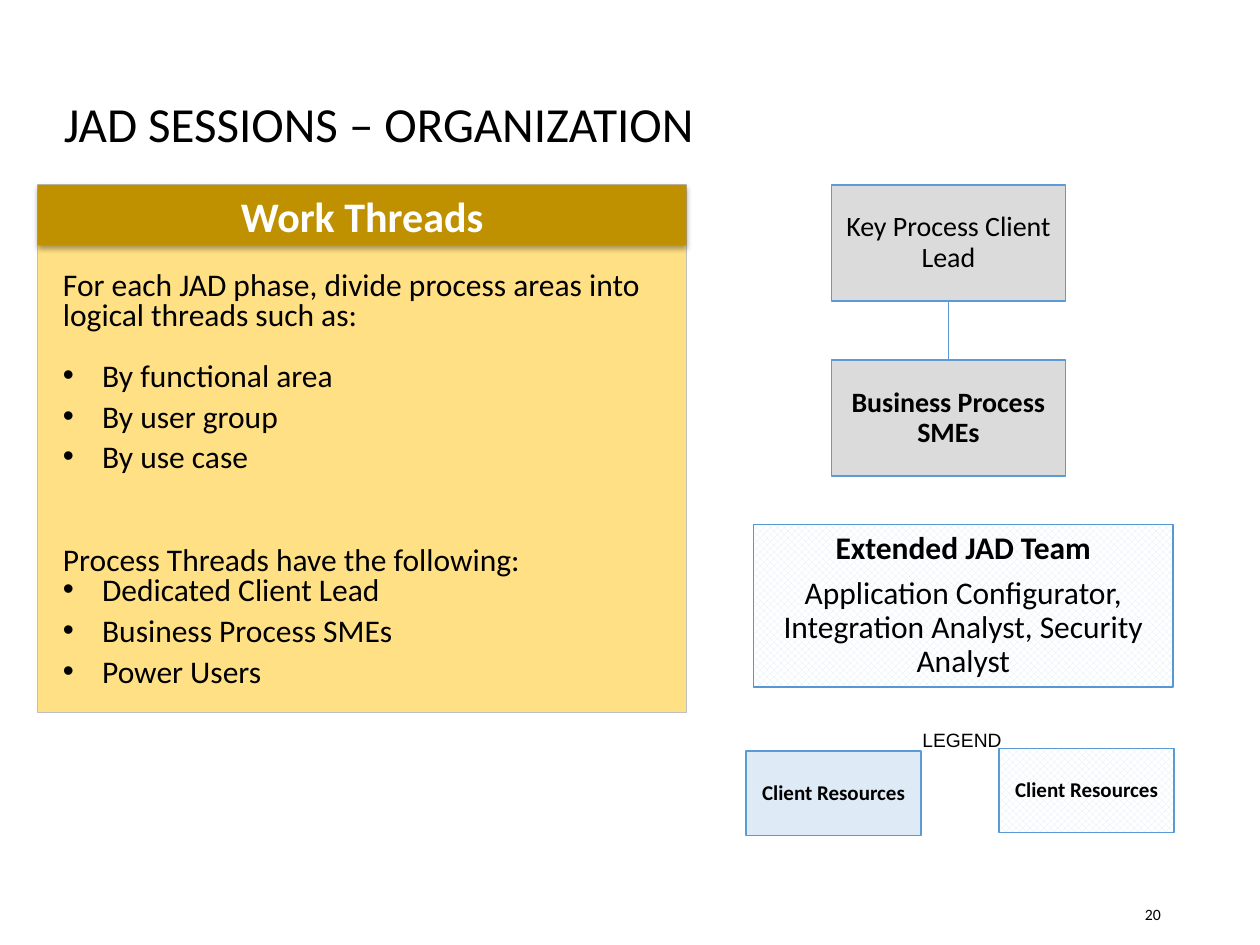
import lxml.etree
import pptx
import pptx.dml.color
import pptx.enum.dml
import pptx.enum.shapes
import pptx.enum.text
import pptx.oxml
import pptx.oxml.ns
import pptx.util

Cm = pptx.util.Cm
Pt = pptx.util.Pt
RGBColor = pptx.dml.color.RGBColor
ALIGN = pptx.enum.text.PP_ALIGN
ANCHOR = pptx.enum.text.MSO_ANCHOR
RECTANGLE = pptx.enum.shapes.MSO_SHAPE.RECTANGLE
qn = pptx.oxml.ns.qn

BLACK = RGBColor(0x00, 0x00, 0x00)
WHITE = RGBColor(0xFF, 0xFF, 0xFF)
GRAY = RGBColor(0xDB, 0xDB, 0xDB)
BORDER_GRAY = RGBColor(0xBF, 0xBF, 0xBF)
BLUE = RGBColor(0x5B, 0x9B, 0xD5)
TEAM_BLUE = RGBColor(0x56, 0x98, 0xD3)
PALE_BLUE = RGBColor(0xDE, 0xEB, 0xF7)
YELLOW = RGBColor(0xFF, 0xD9, 0x66)
GOLD = RGBColor(0xBF, 0x90, 0x00)


def add_box(position, fill, border, insets, anchor=ANCHOR.MIDDLE):
    bounds = [Cm(value) for value in position]
    if fill is None:
        shape = slide.shapes.add_textbox(*bounds)
    else:
        shape = slide.shapes.add_shape(RECTANGLE, *bounds)
        shape.shadow.inherit = False
        if fill == "pattern":
            shape.fill.patterned()
            shape.fill.pattern = pptx.enum.dml.MSO_PATTERN.OUTLINED_DIAMOND
            shape.fill.fore_color.rgb = PALE_BLUE
            shape.fill.back_color.rgb = WHITE
        else:
            shape.fill.solid()
            shape.fill.fore_color.rgb = fill
        if border is None:
            shape.line.fill.background()
        else:
            shape.line.color.rgb = border
            shape.line.width = Pt(0.75)
    frame = shape.text_frame
    frame.word_wrap = True
    frame.vertical_anchor = anchor
    frame.margin_left, frame.margin_top, frame.margin_right, frame.margin_bottom = [
        Cm(value) for value in insets
    ]
    return shape


def add_text(shape, text, size, bold=False, align=ALIGN.LEFT, spacing=1.0,
             after=0, color=BLACK, font="Calibri"):
    frame = shape.text_frame
    paragraph = frame.paragraphs[-1]
    if paragraph.runs:
        paragraph = frame.add_paragraph()
    paragraph.alignment = align
    paragraph.line_spacing = spacing
    paragraph.space_before = Pt(0)
    paragraph.space_after = Pt(after)
    run = paragraph.add_run()
    run.text = text
    run.font.name = font
    run.font.size = Pt(size)
    run.font.bold = bold
    run.font.color.rgb = color
    return paragraph


presentation = pptx.Presentation()
presentation.slide_width = Cm(25.4)
presentation.slide_height = Cm(19.05)
slide = presentation.slides.add_slide(presentation.slide_layouts[6])

TEXT_INSETS = (0.25, 0.13, 0.25, 0.13)
BOX_INSETS = (0.13, 0.08, 0.13, 0.08)

title = add_box((1.04, 1.73, 22.12, 1.65), None, None, TEXT_INSETS)
add_text(title, "JAD SESSIONS – ORGANIZATION", 28, spacing=0.9)

slide_number = add_box((17.93, 17.93, 5.72, 1.02), None, None, TEXT_INSETS)
add_text(slide_number, "20", 9, align=ALIGN.RIGHT)

organization_boxes = [
    ((16.76, 3.73, 4.72, 2.34), GRAY, BLUE, [("Key Process Client Lead", 16, False, 2.4)]),
    ((16.76, 7.26, 4.72, 2.34), GRAY, BLUE, [("Business Process SMEs", 16, True, 2.4)]),
    ((15.19, 10.57, 8.46, 3.28), "pattern", TEAM_BLUE, [
        ("Extended JAD Team", 18, True, 6.4),
        ("Application Configurator, Integration Analyst, Security Analyst", 18, False, 2.7),
    ]),
    ((15.04, 15.14, 3.53, 1.7), PALE_BLUE, BLUE, [("Client Resources", 12, True, 1.8)]),
    ((20.14, 15.09, 3.53, 1.7), "pattern", BLUE, [("Client Resources", 12, True, 1.8)]),
]
for position, fill, border, lines in organization_boxes:
    box = add_box(position, fill, border, BOX_INSETS)
    for text, size, bold, after in lines:
        add_text(box, text, size, bold, ALIGN.CENTER, 0.9, after)

legend = add_box((16.92, 14.53, 4.95, 0.76), None, None, TEXT_INSETS, ANCHOR.TOP)
add_text(legend, "LEGEND", 11, align=ALIGN.CENTER, spacing=1.06, font="Arial")

connector = slide.shapes.add_connector(
    pptx.enum.shapes.MSO_CONNECTOR.STRAIGHT, Cm(19.12), Cm(6.07), Cm(19.12), Cm(7.26)
)
connector.line.color.rgb = BLUE
connector.line.width = Pt(1)
lxml.etree.SubElement(connector._element.spPr, qn("a:effectLst"))

panel = add_box((0.76, 3.73, 13.08, 10.64), YELLOW, BORDER_GRAY,
                (0.51, 1.75, 0.25, 0.25), ANCHOR.TOP)
panel_color = panel._element.spPr.find(qn("a:solidFill"))[0]
lxml.etree.SubElement(panel_color, qn("a:alpha"), val="80000")

panel_lines = [
    ("For each JAD phase, divide process areas into logical threads such as:", False, 17.6),
    ("By functional area", True, 6),
    ("By user group", True, 6),
    ("By use case", True, 41.2),
    ("Process Threads have the following:", False, 0),
    ("Dedicated Client Lead", True, 6),
    ("Business Process SMEs", True, 6),
    ("Power Users", True, 6),
]
for text, bulleted, after in panel_lines:
    paragraph = add_text(panel, text, 18, spacing=0.8, after=after)
    if bulleted:
        properties = paragraph._p.get_or_add_pPr()
        properties.set("marL", str(Cm(0.79)))
        properties.set("indent", str(-Cm(0.79)))
        lxml.etree.SubElement(properties, qn("a:buFont"), typeface="Arial")
        lxml.etree.SubElement(properties, qn("a:buChar"), char="•")

header = add_box((0.76, 3.73, 13.08, 1.22), GOLD, None, TEXT_INSETS)
add_text(header, "Work Threads", 24, True, ALIGN.CENTER, color=WHITE)
effects = header._element.spPr.find(qn("a:effectLst"))
shadow = lxml.etree.SubElement(effects, qn("a:outerShdw"), blurRad=str(Pt(3.1)),
                               dist=str(Pt(1.8)), dir="5400000", rotWithShape="0")
shadow_color = lxml.etree.SubElement(shadow, qn("a:srgbClr"), val="000000")
lxml.etree.SubElement(shadow_color, qn("a:alpha"), val="35000")

presentation.save("out.pptx")
